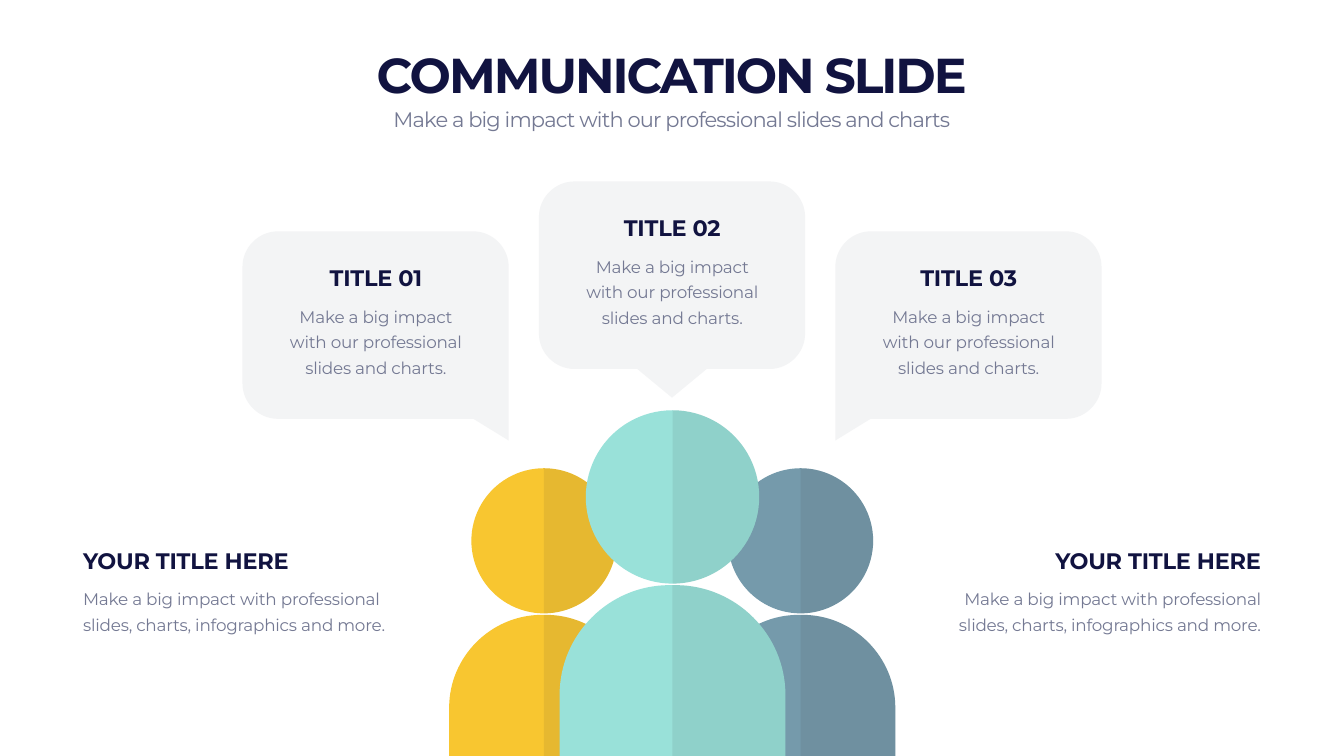
from lxml import etree
from pptx import Presentation
from pptx.dml.color import RGBColor
from pptx.enum.shapes import MSO_SHAPE
from pptx.enum.text import MSO_ANCHOR, MSO_AUTO_SIZE, PP_ALIGN
from pptx.oxml.ns import qn
from pptx.util import Pt

OVAL = MSO_SHAPE.OVAL
TOP, BOTTOM = MSO_ANCHOR.TOP, MSO_ANCHOR.BOTTOM
LEFT, CENTER, RIGHT = PP_ALIGN.LEFT, PP_ALIGN.CENTER, PP_ALIGN.RIGHT

NAVY = RGBColor(0x11, 0x13, 0x40)
GREY = RGBColor(0x74, 0x79, 0x93)
BUBBLE = RGBColor(0xC4, 0xC8, 0xCE)
SHADE = RGBColor(0x33, 0x33, 0x33)
YELLOW = RGBColor(0xF8, 0xC6, 0x30)
BLUE = RGBColor(0x75, 0x9A, 0xAB)
TEAL = RGBColor(0x99, 0xE1, 0xD9)

PX = 9144
WIDTH, HEIGHT = 2666, 1500
KAPPA = 0.55

prs = Presentation()
prs.slide_width, prs.slide_height = WIDTH * PX, HEIGHT * PX
s = prs.slides.add_slide(prs.slide_layouts[5])


def paint(sp, color, opacity=100):
    sp.shadow.inherit = False
    sp.fill.solid()
    sp.fill.fore_color.rgb = color
    sp.line.fill.background()
    if opacity < 100:
        clr = sp._element.spPr.find(qn("a:solidFill"))[0]
        etree.SubElement(clr, qn("a:alpha")).set("val", str(opacity * 1000))


def add_outline(steps, color, opacity=100):
    ends = [step[-2:] for step in steps]
    builder = s.shapes.build_freeform(*ends[0], scale=PX)
    builder.add_line_segments(ends[1:], close=True)
    sp = builder.convert_to_shape()
    left, top = min(x for x, y in ends), min(y for x, y in ends)
    lines = list(sp._element.iter(qn("a:lnTo")))
    for (x0, y0), step, line in zip(ends, steps[1:], lines):
        if len(step) == 4:
            kx, ky, x1, y1 = step
            line.tag = qn("a:cubicBezTo")
            for i, (x, y) in enumerate([(x0, y0), (x1, y1)]):
                pt = etree.Element(qn("a:pt"))
                pt.set("x", str(round(x + KAPPA * (kx - x) - left)))
                pt.set("y", str(round(y + KAPPA * (ky - y) - top)))
                line.insert(i, pt)
    paint(sp, color, opacity)


BUBBLE_W, BUBBLE_H, CORNER = 528, 372, 70
for x, y, tail in [(1657, 459, "left"), (481, 459, "right"), (1069, 360, "middle")]:
    right, bottom, mid = x + BUBBLE_W, y + BUBBLE_H, x + BUBBLE_W // 2
    x1, x2, y1, y2 = x + CORNER, right - CORNER, y + CORNER, bottom - CORNER
    steps = [(x, y1), (x, y, x1, y), (x2, y), (right, y, right, y1)]
    if tail == "right":
        steps += [(right, bottom + 43), (x2, bottom)]
    else:
        steps += [(right, y2), (right, bottom, x2, bottom)]
    if tail == "middle":
        steps += [(mid + 69, bottom), (mid, bottom + 57), (mid - 69, bottom)]
    if tail == "left":
        steps += [(x1, bottom), (x, bottom + 43)]
    else:
        steps += [(x1, bottom), (x, bottom, x, y2)]
    add_outline(steps, BUBBLE, 20)

people = [
    (1079, 929, 144, 1220, 188, 184, YELLOW),
    (1588, 929, 144, 1220, 188, 184, BLUE),
    (1334, 814, 172, 1161, 224, 218, TEAL),
]
for cx, head_top, head_r, body_top, half_w, shoulder, color in people:
    head = s.shapes.add_shape(OVAL, (cx - head_r) * PX, head_top * PX,
                              2 * head_r * PX, 2 * head_r * PX)
    paint(head, color)
    left, right, inset = cx - half_w, cx + half_w, half_w - shoulder
    y = body_top + shoulder
    right_side = [(cx + inset, body_top), (right, body_top, right, y), (right, HEIGHT)]
    left_side = [(left, HEIGHT), (left, y), (left, body_top, cx - inset, body_top)]
    add_outline(left_side + right_side, color)
    mid, edge, chin = head_top + head_r, cx + head_r, head_top + 2 * head_r
    add_outline([(cx, head_top), (edge, head_top, edge, mid), (edge, chin, cx, chin)],
                SHADE, 9)
    add_outline([(cx, HEIGHT), (cx, body_top)] + right_side, SHADE, 9)

texts = [
    ("COMMUNICATION SLIDE", 166, 82, 2333, 128, CENTER, 70, True, -290),
    ("Make a big impact with our professional slides and charts",
     166, 206, 2333, 61, CENTER, 30, False, -120),
]
short = "Make a big impact with our professional slides and charts."
long = "Make a big impact with professional slides, charts, infographics and more."
captions = [
    ("TITLE 01", short, 555, 519, 594, 381, 157, CENTER),
    ("TITLE 02", short, 1143, 420, 495, 381, 157, CENTER),
    ("TITLE 03", short, 1731, 519, 594, 381, 157, CENTER),
    ("YOUR TITLE HERE", long, 155, 1080, 1154, 682, 107, LEFT),
    ("YOUR TITLE HERE", long, 1829, 1080, 1154, 682, 107, RIGHT),
]
for heading, body, x, y, body_y, w, h, align in captions:
    texts.append((heading, x, y, w, 64, align, 32, True, -30))
    texts.append((body, x, body_y, w, h, align, 24, False, -30))

for i, (text, x, y, w, h, align, size, bold, spacing) in enumerate(texts):
    if i == 0:
        sp = s.shapes.title
        sp.left, sp.top, sp.width, sp.height = x * PX, y * PX, w * PX, h * PX
    else:
        sp = s.shapes.add_textbox(x * PX, y * PX, w * PX, h * PX)
    tf = sp.text_frame
    tf.word_wrap = True
    tf.auto_size = MSO_AUTO_SIZE.NONE
    tf.vertical_anchor = BOTTOM if bold else TOP
    p = tf.paragraphs[0]
    p.text = text
    p.alignment = align
    if size == 24:
        p.line_spacing = Pt(36)
    p.font.name = "Montserrat"
    p.font.size = Pt(size)
    p.font.bold = bold
    p.font.color.rgb = NAVY if bold else GREY
    p._p.pPr.find(qn("a:defRPr")).set("spc", str(spacing))

prs.save("out.pptx")
